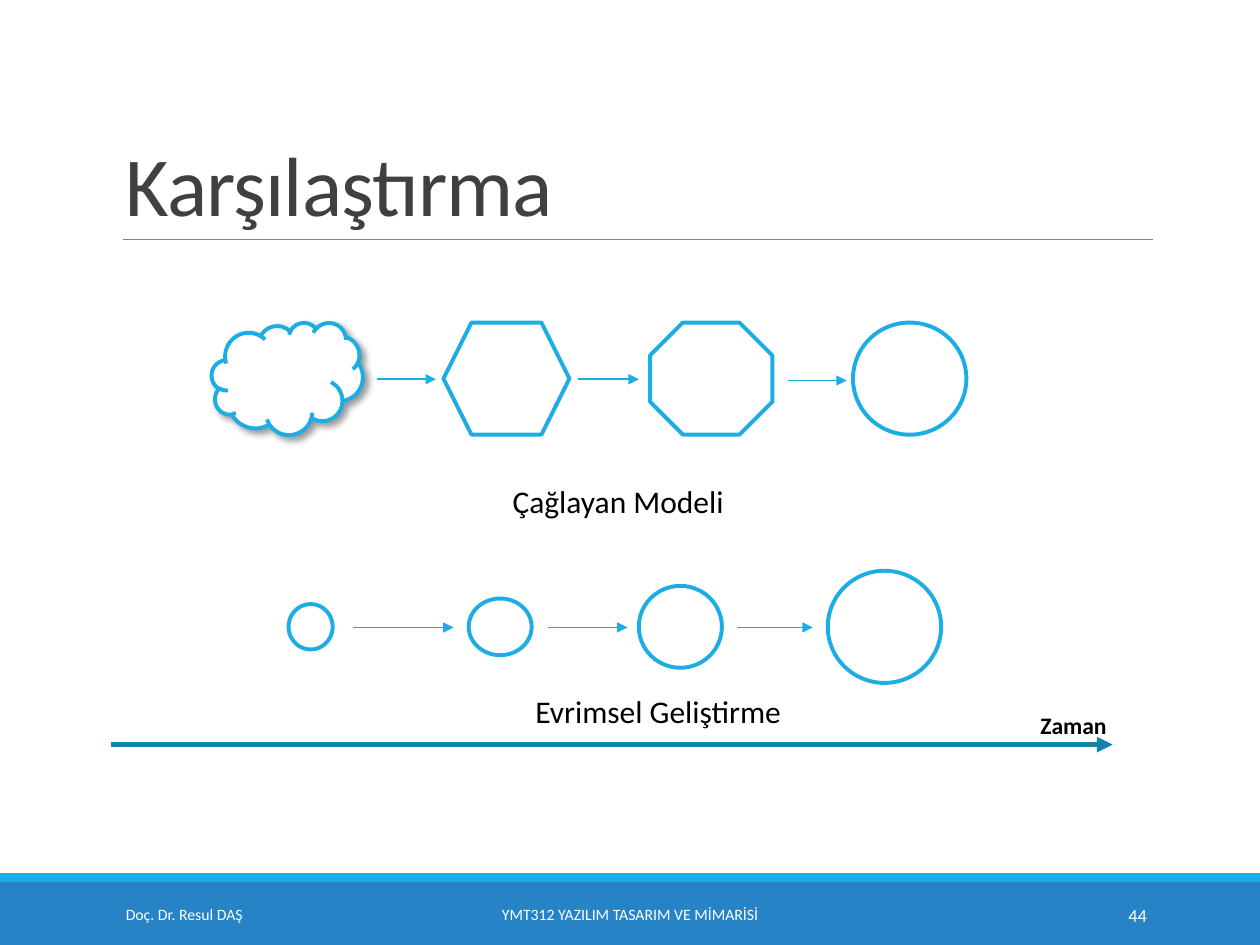
from pptx import Presentation
from pptx.dml.color import RGBColor
from pptx.enum.shapes import MSO_CONNECTOR, MSO_SHAPE
from pptx.enum.text import MSO_ANCHOR, PP_ALIGN
from pptx.oxml import parse_xml
from pptx.oxml.ns import nsdecls
from pptx.util import Inches, Pt

COLORS = {
    "white": "FFFFFF", "black": "000000", "title": "404040", "rule": "808080",
    "band": "2683C6", "accent": "1CADE4", "time": "1482AC",
}
FONT = "Calibri"
WATERFALL_Y, EVOLUTION_Y, TIME_Y = 3.005, 4.975, 5.91
FOOTER_Y, FOOTER_H = 7.06, 0.4

BANDS = [(7, 0.5, "band"), (6.93, 0.07, "accent")]

STAGES = [
    (WATERFALL_Y, [
        (MSO_SHAPE.CLOUD, 1.68, 1.2, 0.89),
        (MSO_SHAPE.HEXAGON, 3.52, 1, 0.89),
        (MSO_SHAPE.OCTAGON, 5.16, 0.97, 0.89),
        (MSO_SHAPE.OVAL, 6.77, 0.9, 0.89),
    ]),
    (EVOLUTION_Y, [
        (MSO_SHAPE.OVAL, 2.29, 0.35, 0.36),
        (MSO_SHAPE.OVAL, 3.72, 0.5, 0.45),
        (MSO_SHAPE.OVAL, 5.07, 0.66, 0.65),
        (MSO_SHAPE.OVAL, 6.57, 0.9, 0.89),
    ]),
]

LINES = [
    (0.98, 9.15, 1.9, "rule", 0.5, False),
    (2.99, 3.46, 3.01, "accent", 1, True),
    (4.59, 5.07, 3.01, "accent", 1, True),
    (6.25, 6.72, 3.02, "accent", 1, True),
    (2.8, 3.6, 4.98, "accent", 1, True),
    (4.35, 4.98, 4.98, "accent", 1, True),
    (5.85, 6.45, 4.98, "accent", 1, True),
    (0.88, 8.83, TIME_Y, "time", 3, True),
]

TITLE = ("Karşılaştırma", (0.9, 0.31, 8.25, 1.59))
LABELS = [
    ("Çağlayan Modeli", (3.97, 3.78, 1.9, 0.4), 18, False),
    ("Evrimsel Geliştirme", (4.15, 5.44, 2.17, 0.4), 18, False),
    ("Zaman", (8.16, 5.59, 0.73, 0.33), 13.5, True),
]
FOOTERS = [
    ("Doç. Dr. Resul DAŞ", 0.9, 2.03, 9, PP_ALIGN.LEFT),
    ("YMT312 YAZILIM TASARIM VE MİMARİSİ", 3.02, 3.96, 9, PP_ALIGN.CENTER),
    ("44", 8.12, 1.08, 10.5, PP_ALIGN.RIGHT),
]

prs = Presentation()
prs.slide_width, prs.slide_height = Inches(10), Inches(7.5)
slide = prs.slides.add_slide(prs.slide_layouts[6])
shapes = slide.shapes


def rgb(name):
    return RGBColor.from_string(COLORS[name])


def add_outline(kind, box, fill, line=None):
    shape = shapes.add_shape(kind, *map(Inches, box))
    shape.shadow.inherit = False
    shape.fill.solid()
    shape.fill.fore_color.rgb = rgb(fill)
    if line:
        shape.line.color.rgb = rgb(line)
        shape.line.width = Pt(2.25)
    else:
        shape.line.fill.background()
    return shape


def add_shadow(shape):
    effects = shape._element.spPr.find(
        "{http://schemas.openxmlformats.org/drawingml/2006/main}effectLst")
    effects.append(parse_xml(
        f'<a:outerShdw {nsdecls("a")} blurRad="{Pt(4)}" dist="{Pt(3)}" '
        'dir="2700000" algn="tl" rotWithShape="0"><a:srgbClr val="000000">'
        '<a:alpha val="40000"/></a:srgbClr></a:outerShdw>'))


def add_line(start, end, y, color, width, arrow):
    line = shapes.add_connector(
        MSO_CONNECTOR.STRAIGHT, *map(Inches, (start, y, end, y)))
    line.line.color.rgb = rgb(color)
    line.line.width = Pt(width)
    if arrow:
        line.line._get_or_add_ln().append(
            parse_xml(f'<a:tailEnd {nsdecls("a")} type="triangle"/>'))
    line._element.spPr.append(parse_xml(f'<a:effectLst {nsdecls("a")}/>'))


def add_text(text, box, size, color, bold=False, align=PP_ALIGN.LEFT,
             anchor=MSO_ANCHOR.TOP, wrap=True):
    frame = shapes.add_textbox(*map(Inches, box)).text_frame
    frame.word_wrap = wrap
    frame.vertical_anchor = anchor
    paragraph = frame.paragraphs[0]
    paragraph.alignment = align
    run = paragraph.add_run()
    run.text = text
    run.font.name, run.font.size, run.font.bold = FONT, Pt(size), bold
    run.font.color.rgb = rgb(color)
    return paragraph


for top, height, color in BANDS:
    add_outline(MSO_SHAPE.RECTANGLE, (0, top, 10, height), color)

title = add_text(*TITLE, 48, "title", anchor=MSO_ANCHOR.BOTTOM)
title.line_spacing = 0.85
title.runs[0].font._element.set("spc", "-50")

for middle, row in STAGES:
    for kind, left, width, height in row:
        stage = add_outline(
            kind, (left, middle - height / 2, width, height), "white", "accent")
        if kind == MSO_SHAPE.CLOUD:
            add_shadow(stage)

for line in LINES:
    add_line(*line)

for text, box, size, bold in LABELS:
    add_text(text, box, size, "black", bold, wrap=False)

for text, left, width, size, align in FOOTERS:
    add_text(text, (left, FOOTER_Y, width, FOOTER_H), size, "white",
             align=align, anchor=MSO_ANCHOR.MIDDLE)

prs.save("out.pptx")
